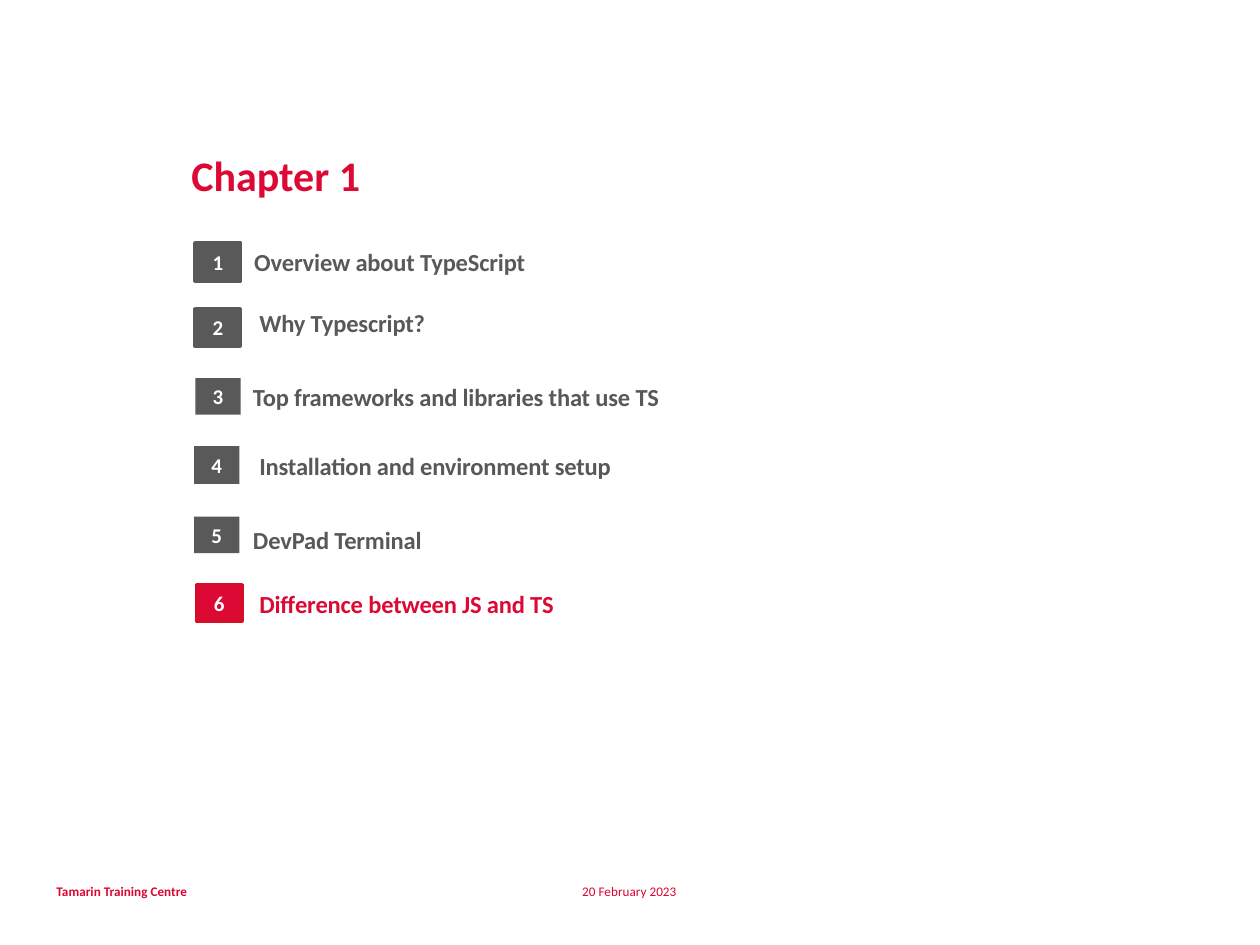
from pptx import Presentation
from pptx.dml.color import RGBColor
from pptx.enum.shapes import MSO_SHAPE as SHAPE
from pptx.enum.text import MSO_ANCHOR as ANCHOR, PP_ALIGN as ALIGN
from pptx.util import Inches, Pt

FONT = "Calibri"
COLORS = {
    "grey": "595959",
    "topic": "585858",
    "red": "DB0934",
    "red_line": "D50D27",
    "footer": "DC0531",
    "white": "FFFFFF",
}

# badge (left, top, height, fill, line), topic (left, top, width, height, color), text
AGENDA = [
    ((1.55, 1.93, 0.3, "grey", "grey"), (1.91, 1.93, 7.26, 0.29, "grey"),
     "Overview about TypeScript"),
    ((1.55, 2.45, 0.3, "grey", "grey"), (1.95, 2.39, 5, 0.34, "grey"),
     "Why Typescript?"),
    ((1.55, 3, 0.29, "grey", None), (1.9, 3, 7.26, 0.29, "topic"),
     "Top frameworks and libraries that use TS"),
    ((1.54, 3.54, 0.3, "grey", None), (1.95, 3.55, 7.26, 0.29, "topic"),
     "Installation and environment setup"),
    ((1.54, 4.1, 0.29, "grey", None), (1.9, 4.14, 7.26, 0.29, "topic"),
     "DevPad Terminal"),
    ((1.56, 4.64, 0.29, "red", "red_line"), (1.95, 4.62, 5, 0.34, "red"),
     "Difference between JS and TS"),
]


def rgb(name):
    return RGBColor.from_string(COLORS[name])


def write(shape, text, size, color, bold=True, align=ALIGN.LEFT, anchor=ANCHOR.MIDDLE):
    tf = shape.text_frame
    tf.word_wrap = True
    tf.vertical_anchor = anchor
    p = tf.paragraphs[0]
    p.text = text
    p.alignment = align
    font = p.runs[0].font
    font.name, font.size, font.bold = FONT, Pt(size), bold
    font.color.rgb = rgb(color)
    return p


def add_text(s, left, top, width, height, text, size, color, **style):
    box = s.shapes.add_textbox(Inches(left), Inches(top), Inches(width), Inches(height))
    return write(box, text, size, color, **style)


def add_badge(s, number, left, top, height, fill, line):
    sp = s.shapes.add_shape(SHAPE.RECTANGLE, Inches(left), Inches(top),
                            Inches(0.36), Inches(height))
    sp.shadow.inherit = False
    sp.fill.solid()
    sp.fill.fore_color.rgb = rgb(fill)
    if line:
        sp.line.color.rgb = rgb(line)
        sp.line.width = Pt(2)
    else:
        sp.line.fill.background()
    write(sp, str(number), 12, "white", align=ALIGN.CENTER)


def add_topic(s, left, top, width, height, color, text):
    p = add_text(s, left, top, width, height, text, 14, color)
    p.space_before = Pt(1.1)
    pPr = p._p.get_or_add_pPr()
    pPr.set("marL", str(Inches(0.01)))
    p.runs[0].font._element.set("spc", "-10")


def main():
    prs = Presentation()
    prs.slide_width, prs.slide_height = Inches(10), Inches(7.5)
    s = prs.slides.add_slide(prs.slide_layouts[6])

    add_text(s, 4.33, 6.96, 1.33, 0.23, "20 February 2023", 7.5, "footer",
             bold=False, align=ALIGN.CENTER, anchor=ANCHOR.TOP)
    add_text(s, 0.35, 6.96, 2.66, 0.23, "Tamarin Training Centre", 7.5, "footer",
             anchor=ANCHOR.TOP)
    add_text(s, 1.42, 1.14, 2.65, 0.5, "Chapter 1", 24, "red", anchor=ANCHOR.TOP)
    for number, (badge, topic, text) in enumerate(AGENDA, start=1):
        add_badge(s, number, *badge)
        add_topic(s, *topic, text)

    prs.save("out.pptx")


if __name__ == "__main__":
    main()
